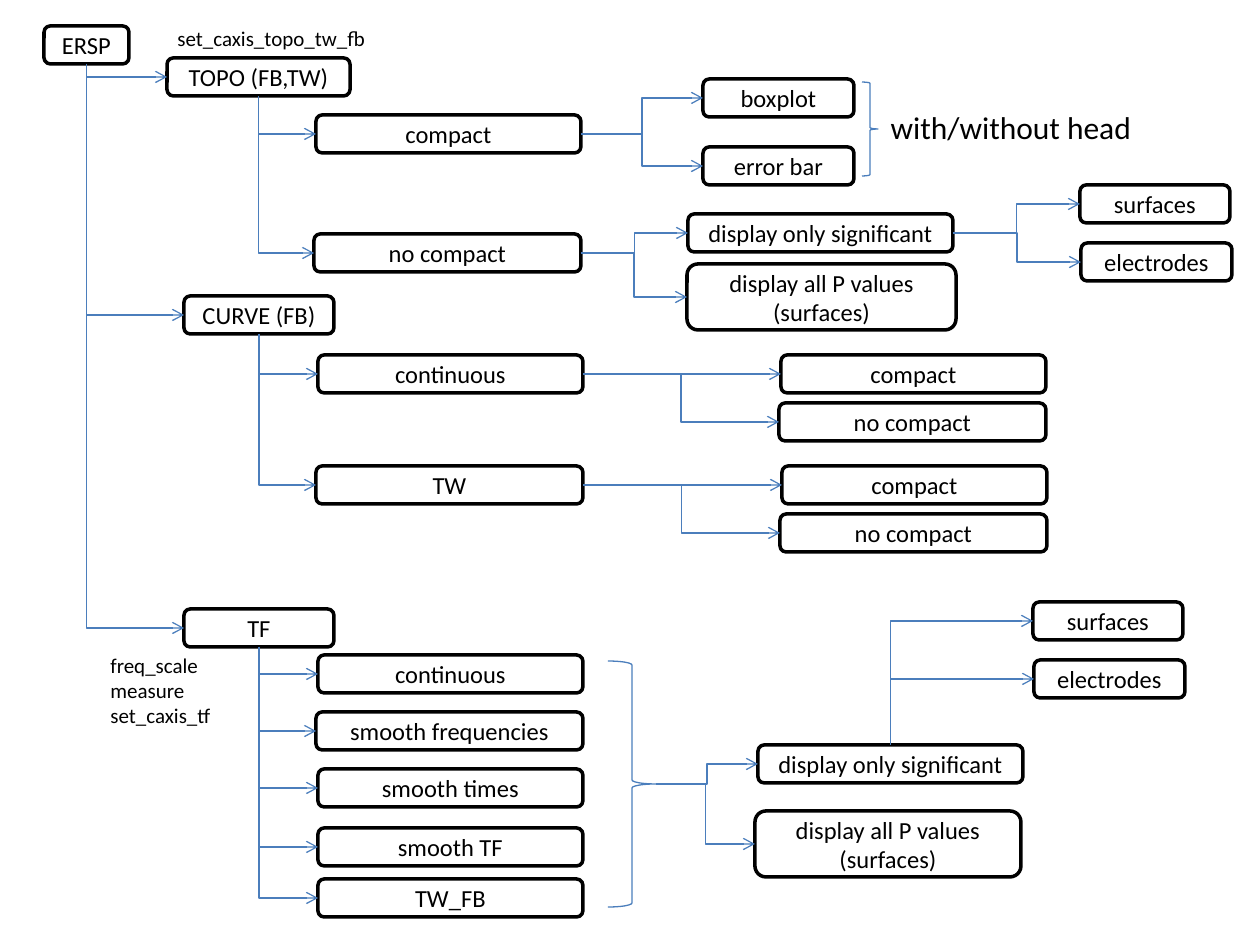
from lxml.etree import SubElement
from pptx import Presentation
from pptx.dml.color import RGBColor
from pptx.enum.shapes import MSO_CONNECTOR as Link, MSO_SHAPE as Preset
from pptx.enum.text import MSO_ANCHOR as Anchor, PP_ALIGN as Align
from pptx.oxml.ns import qn
from pptx.util import Inches, Pt

SCALE = Inches(1) / 126
BLACK = RGBColor(0x00, 0x00, 0x00)
BLUE = RGBColor(0x4B, 0x7E, 0xBC)
FONT = "Calibri"
ROW = 38
TALL = 66
TOP, LEFT, BOTTOM, RIGHT = range(4)
BRACE_TIP = 1


def emu(pixels):
    """Turn pixels into EMU."""
    return round(pixels * SCALE)


class Diagram:
    """Holds the style and the current slide of a tree diagram."""

    def __init__(self, page):
        self.shapes = page.shapes

    def set_text(self, frame, text, size, align):
        """Fill a text frame and format its runs."""
        frame.word_wrap = True
        frame.text = text
        for paragraph in frame.paragraphs:
            paragraph.alignment = align
            for span in paragraph.runs:
                span.font.name = FONT
                span.font.size = Pt(size)
                span.font.color.rgb = BLACK

    def outline(self, preset, place, color, width):
        """Add an unfilled preset shape."""
        shape = self.shapes.add_shape(preset, *map(emu, place))
        shape.shadow.inherit = False
        shape.fill.background()
        shape.line.color.rgb = color
        shape.line.width = Pt(width)
        return shape

    def box(self, text, x, y, width, height=ROW):
        """Add a rounded box with centred text."""
        box = self.outline(Preset.ROUNDED_RECTANGLE, (x, y, width, height), BLACK, 2)
        box.text_frame.vertical_anchor = Anchor.MIDDLE
        self.set_text(box.text_frame, text, 14, Align.CENTER)
        return box

    def brace(self, x, y, width, height):
        """Add a right brace."""
        return self.outline(Preset.RIGHT_BRACE, (x, y, width, height), BLUE, 0.75)

    def label(self, text, x, y, width, height, size=12, align=Align.LEFT):
        """Add a free text label."""
        box = self.shapes.add_textbox(*map(emu, (x, y, width, height)))
        self.set_text(box.text_frame, text, size, align)

    def arrow(self, parent, child, side, site):
        """Link a parent to the left edge of a child with an elbow arrow."""
        middle = parent.left + parent.width // 2
        start_x, start_y = {
            TOP: (middle, parent.top),
            BOTTOM: (middle, parent.top + parent.height),
            RIGHT: (parent.left + parent.width, parent.top + parent.height // 2),
        }[side]
        end_x, end_y = child.left, child.top + child.height // 2
        arrow = self.shapes.add_connector(Link.ELBOW, start_x, start_y, end_x, end_y)
        arrow.begin_connect(parent, site)
        arrow.end_connect(child, LEFT)
        arrow.line.color.rgb = BLUE
        arrow.line.width = Pt(0.75)
        properties = arrow._element.spPr
        SubElement(properties.find(qn("a:ln")), qn("a:tailEnd"), type="arrow")
        SubElement(properties, qn("a:effectLst"))

        wide, high = end_x - start_x, abs(end_y - start_y)
        rising = end_y < start_y
        turn = {"flipV": "1"} if rising else {}
        arrow.left, arrow.top = start_x, min(start_y, end_y)
        arrow.width, arrow.height = wide, high
        if side != RIGHT:
            properties.find(qn("a:prstGeom")).set("prst", "bentConnector2")
            turn["flipH"] = "1"
            turn["rot"] = str((90 if rising else 270) * 60000)
            arrow.left += (wide - high) // 2
            arrow.top += (high - wide) // 2
            arrow.width, arrow.height = high, wide
        transform = properties.find(qn("a:xfrm"))
        for name in ("flipH", "flipV", "rot"):
            transform.attrib.pop(name, None)
        for name, value in turn.items():
            transform.set(name, value)

    def branch(self, parent, children, side=RIGHT, site=None):
        """Add child boxes, each with an arrow from the parent."""
        boxes = [self.box(*child) for child in children]
        for box in boxes:
            self.arrow(parent, box, side, side if site is None else site)
        return boxes


def build():
    """Build the slide and save it."""
    deck = Presentation()
    deck.slide_width, deck.slide_height = Inches(10), Inches(7.5)
    diagram = Diagram(deck.slides.add_slide(deck.slide_layouts[6]))
    branch = diagram.branch
    significant, all_values = "display only significant", "display all P values (surfaces)"

    root = diagram.box("ERSP", 44, 26, 85)
    topo, curve, tf = branch(root, [
        ("TOPO (FB,TW)", 167, 58, 183),
        ("CURVE (FB)", 184, 296, 150),
        ("TF", 184, 609, 150),
    ], BOTTOM)

    compact, no_compact = branch(topo, [
        ("compact", 316, 115, 265), ("no compact", 314, 234, 267),
    ], BOTTOM)
    branch(compact, [("boxplot", 703, 79, 151), ("error bar", 703, 147, 151)])
    topo_significant, _ = branch(no_compact, [
        (significant, 688, 214, 265), (all_values, 687, 264, 269, TALL),
    ])
    branch(topo_significant, [("surfaces", 1080, 185, 150), ("electrodes", 1081, 243, 151)])
    diagram.brace(862, 82, 16, 94)

    curve_modes = branch(curve, [
        ("continuous", 318, 355, 265), ("TW", 316, 466, 267),
    ], BOTTOM)
    for mode, x, y in zip(curve_modes, (781, 782), (355, 466)):
        branch(mode, [("compact", x, y, 265), ("no compact", x - 2, y + 48, 267)])

    branch(tf, [
        ("continuous", 318, 655, 265),
        ("smooth frequencies", 316, 712, 267),
        ("smooth times", 318, 769, 265),
        ("smooth TF", 318, 828, 265),
        ("TW_FB", 318, 879, 265),
    ], BOTTOM)
    tf_brace = diagram.brace(608, 661, 48, 246)
    tf_significant, _ = branch(tf_brace, [
        (significant, 758, 745, 265), (all_values, 755, 811, 266, TALL),
    ], site=BRACE_TIP)
    branch(tf_significant, [("surfaces", 1033, 602, 150), ("electrodes", 1034, 660, 151)], TOP)

    diagram.label("with/without head", 862, 102, 298, 50, 18, Align.CENTER)
    diagram.label("freq_scale\nmeasure\nset_caxis_tf", 98, 646, 139, 90)
    diagram.label("set_caxis_topo_tw_fb", 165, 19, 257, 38)
    deck.save("out.pptx")


build()
